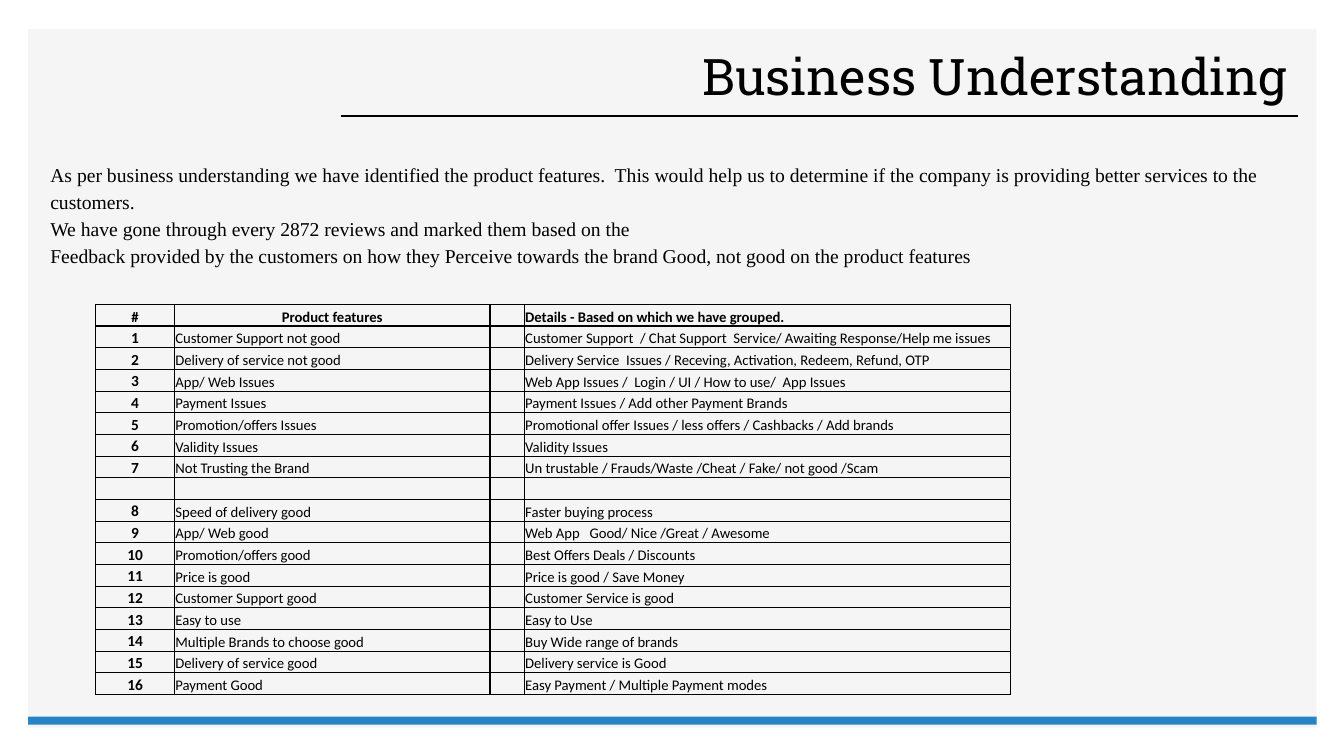
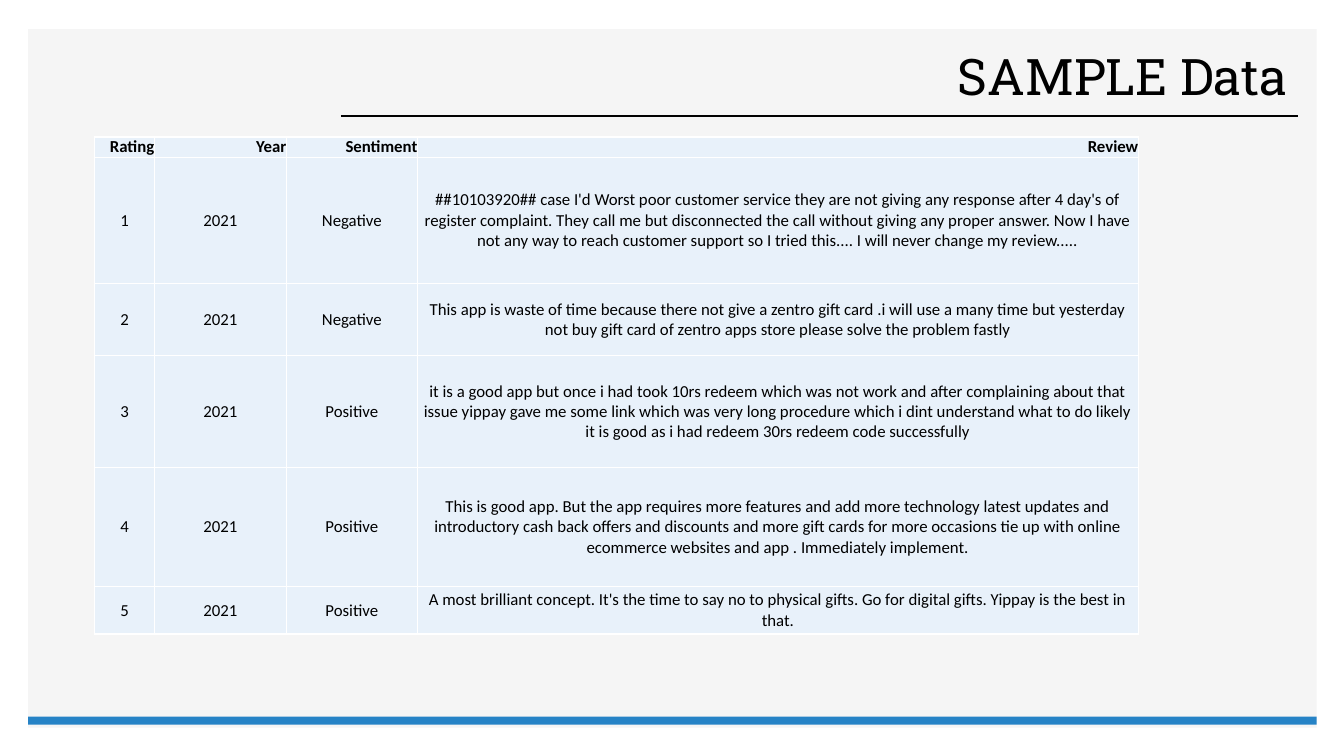
from dataclasses import dataclass
from typing import Optional, Sequence

from lxml import etree
from pptx import Presentation
from pptx.dml.color import RGBColor
from pptx.enum import shapes, text
from pptx.oxml import ns
from pptx.util import Inches, Pt

ALIGN = text.PP_ALIGN
ANCHOR = text.MSO_ANCHOR


@dataclass(frozen=True)
class Theme:
    ink: str = "000000"
    panel: str = "F5F5F5"
    accent: str = "2683C6"
    pale: str = "E8F1FA"
    white: str = "FFFFFF"
    title_font: str = "Roboto Slab"
    body_font: str = "Times New Roman"
    table_font: str = "Calibri"
    title_size: float = 36
    body_size: float = 14
    number_size: float = 11
    feature_size: float = 10.5
    sample_size: float = 12
    line_width: float = 1


THEME = Theme()


@dataclass(frozen=True)
class CellStyle:
    size: float
    align: ALIGN
    anchor: ANCHOR
    bold: bool = False


@dataclass(frozen=True)
class Column:
    width: float
    header: CellStyle
    body: CellStyle


@dataclass(frozen=True)
class TableStyle:
    left: float
    top: float
    columns: Sequence[Column]
    row_heights: Sequence[float]
    border: str
    inset: float
    fill: Optional[str] = None


def feature_style(align: ALIGN, bold: bool = False, size: float = THEME.feature_size) -> CellStyle:
    return CellStyle(size, align, ANCHOR.BOTTOM, bold)


FEATURE_HEAD = feature_style(ALIGN.CENTER, True)
FEATURE_BODY = feature_style(ALIGN.LEFT)
SAMPLE_HEAD = CellStyle(THEME.sample_size, ALIGN.RIGHT, ANCHOR.BOTTOM, True)
SAMPLE_BODY = CellStyle(THEME.sample_size, ALIGN.CENTER, ANCHOR.MIDDLE)

INTRO = [
    "As per business understanding we have identified the product features.  This would help us to "
    "determine if the company is providing better services to the customers.",
    "We have gone through every 2872 reviews and marked them based on the",
    "Feedback provided by the customers on how they Perceive towards the brand Good, "
    "not good on the product features",
]

ISSUES = [
    ("Customer Support not good",
     "Customer Support  / Chat Support  Service/ Awaiting Response/Help me issues"),
    ("Delivery of service not good",
     "Delivery Service  Issues / Receving, Activation, Redeem, Refund, OTP"),
    ("App/ Web Issues", "Web App Issues /  Login / UI / How to use/  App Issues"),
    ("Payment Issues", "Payment Issues / Add other Payment Brands"),
    ("Promotion/offers Issues", "Promotional offer Issues / less offers / Cashbacks / Add brands"),
    ("Validity Issues", "Validity Issues"),
    ("Not Trusting the Brand", "Un trustable / Frauds/Waste /Cheat / Fake/ not good /Scam"),
]

STRENGTHS = [
    ("Speed of delivery good", "Faster buying process"),
    ("App/ Web good", "Web App   Good/ Nice /Great / Awesome"),
    ("Promotion/offers good", "Best Offers Deals / Discounts"),
    ("Price is good", "Price is good / Save Money"),
    ("Customer Support good", "Customer Service is good"),
    ("Easy to use", "Easy to Use"),
    ("Multiple Brands to choose good", "Buy Wide range of brands"),
    ("Delivery of service good", "Delivery service is Good"),
    ("Payment Good", "Easy Payment / Multiple Payment modes"),
]

REVIEWS = [
    ("Negative",
     "##10103920## case I'd Worst poor customer service they are not giving any response after 4 day's "
     "of register complaint. They call me but disconnected the call without giving any proper answer. "
     "Now I have not any way to reach customer support so I tried this.... "
     "I will never change my review....."),
    ("Negative",
     "This app is waste of time because there not give a zentro gift card .i will use a many time but "
     "yesterday not buy gift card of zentro apps store please solve the problem fastly"),
    ("Positive",
     "it is a good app but once i had took 10rs redeem which was not work and after complaining about "
     "that issue yippay gave me some link which was very long procedure which i dint understand what "
     "to do likely it is good as i had redeem 30rs redeem code successfully"),
    ("Positive",
     "This is good app. But the app requires more features and add more technology latest updates and "
     "introductory cash back offers and discounts and more gift cards for more occasions tie up with "
     "online ecommerce websites and app . Immediately implement."),
    ("Positive",
     "A most brilliant concept. It's the time to say no to physical gifts. Go for digital gifts. "
     "Yippay is the best in that."),
]


def rgb(value: str) -> RGBColor:
    return RGBColor.from_string(value)


def write_text(frame, lines: Sequence[str], *, size: float, font: str, align: ALIGN,
               bold: bool = False, spacing: float = 1.0) -> None:
    frame.word_wrap = True
    for index, line in enumerate(lines):
        para = frame.add_paragraph() if index else frame.paragraphs[0]
        para.alignment = align
        para.line_spacing = spacing
        if not line:
            etree.SubElement(para._p, ns.qn("a:endParaRPr"), sz=str(int(size * 100)))
            continue
        span = para.add_run()
        span.text = line
        span.font.size = Pt(size)
        span.font.name = font
        span.font.bold = bold
        span.font.color.rgb = rgb(THEME.ink)


def add_text(page, bounds: Sequence[float], lines: Sequence[str], *,
             anchor: ANCHOR = ANCHOR.TOP, **style) -> None:
    box = page.shapes.add_textbox(*map(Inches, bounds))
    box.text_frame.vertical_anchor = anchor
    write_text(box.text_frame, lines, **style)


def add_band(page, top: float, height: float, color: str) -> None:
    band = page.shapes.add_shape(shapes.MSO_SHAPE.RECTANGLE, Inches(0.28), Inches(top),
                                 Inches(12.78), Inches(height))
    band.shadow.inherit = False
    band.fill.solid()
    band.fill.fore_color.rgb = rgb(color)
    band.line.fill.background()


def add_page(deck, title: str):
    page = deck.slides.add_slide(deck.slide_layouts[6])
    add_band(page, 0.29, 6.93, THEME.panel)
    rule = page.shapes.add_connector(shapes.MSO_CONNECTOR.STRAIGHT, Inches(3.38), Inches(1.15),
                                     Inches(12.87), Inches(1.15))
    rule.line.color.rgb = rgb(THEME.ink)
    rule.line.width = Pt(THEME.line_width)
    etree.SubElement(rule._element.spPr, ns.qn("a:effectLst"))
    add_band(page, 7.11, 0.08, THEME.accent)
    add_text(page, (3.7, 0.42, 9.17, 0.73), [title], anchor=ANCHOR.MIDDLE, size=THEME.title_size,
             font=THEME.title_font, align=ALIGN.RIGHT, spacing=0.9)
    return page


def set_borders(cell, color: str) -> None:
    properties = cell._tc.get_or_add_tcPr()
    for side in ("lnL", "lnR", "lnT", "lnB"):
        line = etree.SubElement(properties, ns.qn(f"a:{side}"), w=str(Pt(THEME.line_width)))
        fill = etree.SubElement(line, ns.qn("a:solidFill"))
        etree.SubElement(fill, ns.qn("a:srgbClr"), val=color)


def format_cell(cell, value: str, style: CellStyle, look: TableStyle) -> None:
    set_borders(cell, look.border)
    if look.fill:
        cell.fill.solid()
        cell.fill.fore_color.rgb = rgb(look.fill)
    else:
        cell.fill.background()
    cell.margin_left = cell.margin_right = cell.margin_top = Inches(look.inset)
    cell.margin_bottom = 0
    cell.vertical_anchor = style.anchor
    write_text(cell.text_frame, [value], size=style.size, font=THEME.table_font,
               align=style.align, bold=style.bold)


def add_data_table(page, rows: Sequence[Sequence[str]], look: TableStyle) -> None:
    width = sum(column.width for column in look.columns)
    frame = page.shapes.add_table(len(rows), len(look.columns), Inches(look.left), Inches(look.top),
                                  Inches(width), Inches(sum(look.row_heights)))
    table = frame.table
    table.first_row = table.horz_banding = False
    for grid_column, column in zip(table.columns, look.columns):
        grid_column.width = Inches(column.width)
    for row_index, (values, height) in enumerate(zip(rows, look.row_heights)):
        table.rows[row_index].height = Inches(height)
        for column_index, (value, column) in enumerate(zip(values, look.columns)):
            style = column.body if row_index else column.header
            format_cell(table.cell(row_index, column_index), value, style, look)


def build_business_page(deck) -> None:
    page = add_page(deck, "Business Understanding")
    issues = [(str(number), name, "", detail) for number, (name, detail) in enumerate(ISSUES, 1)]
    strengths = [(str(number), name, "", detail)
                 for number, (name, detail) in enumerate(STRENGTHS, len(ISSUES) + 1)]
    header = ("#", "Product features", "", "Details - Based on which we have grouped.")
    rows = [header, *issues, ("",) * len(header), *strengths]
    columns = [
        Column(0.78, FEATURE_HEAD, feature_style(ALIGN.CENTER, True, THEME.number_size)),
        Column(3.13, FEATURE_HEAD, FEATURE_BODY),
        Column(0.34, FEATURE_HEAD, FEATURE_BODY),
        Column(4.82, feature_style(ALIGN.LEFT, True), FEATURE_BODY),
    ]
    add_data_table(page, rows, TableStyle(0.95, 3.02, columns, [3.87 / len(rows)] * len(rows),
                                          THEME.ink, 0.01))
    add_text(page, (0.4, 1.53, 12.19, 1.16), INTRO, size=THEME.body_size, font=THEME.body_font,
             align=ALIGN.JUSTIFY, spacing=1.15)


def build_sample_page(deck) -> None:
    page = add_page(deck, "SAMPLE Data")
    rows = [("Rating", "Year", "Sentiment", "Review")]
    rows += [(str(number), "2021", sentiment, review)
             for number, (sentiment, review) in enumerate(REVIEWS, 1)]
    columns = [Column(width, SAMPLE_HEAD, SAMPLE_BODY) for width in (0.59, 1.31, 1.3, 7.15)]
    heights = [0.2, 1.25, 0.72, 1.11, 1.18, 0.47]
    add_data_table(page, rows, TableStyle(0.94, 1.36, columns, heights, THEME.white, 0, THEME.pale))


def main() -> None:
    deck = Presentation()
    deck.slide_width, deck.slide_height = Inches(13.33), Inches(7.5)
    build_business_page(deck)
    build_sample_page(deck)
    deck.save("out.pptx")


if __name__ == "__main__":
    main()
